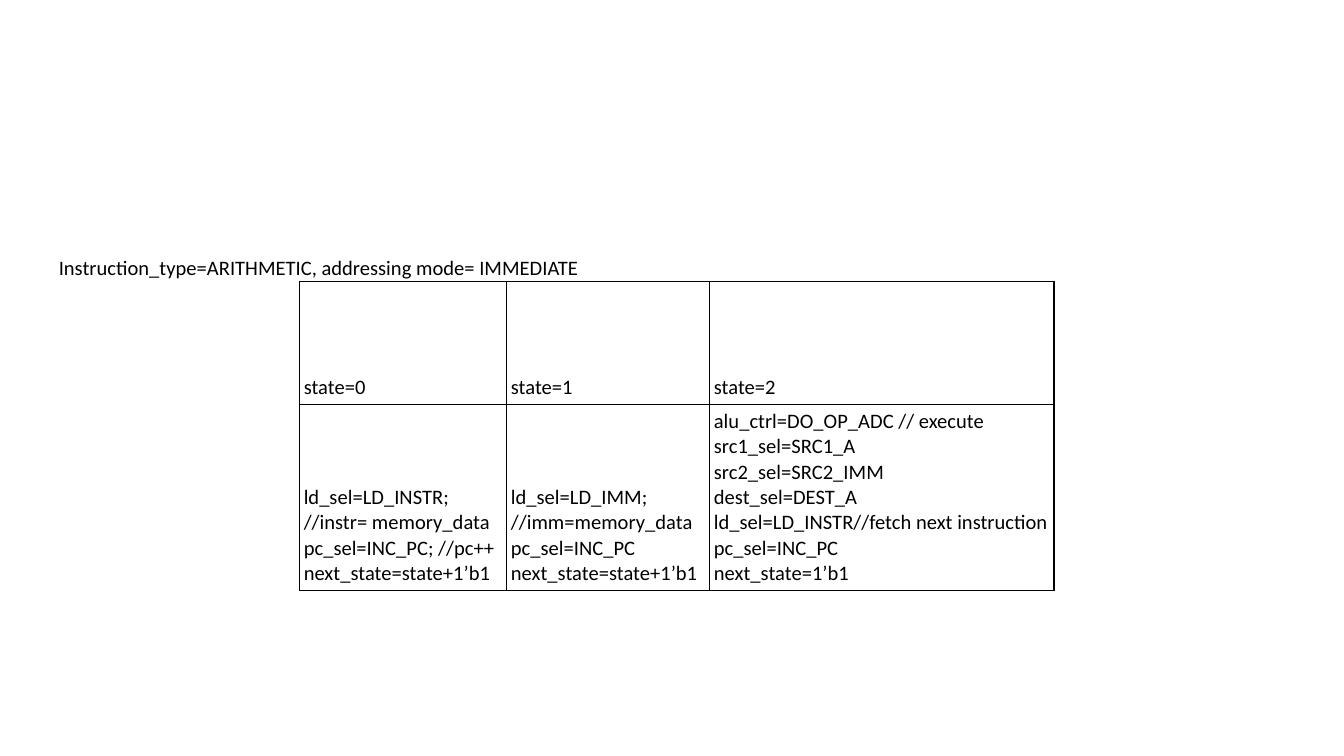
"""Build a slide with the control signals of each state for an immediate arithmetic instruction."""
from lxml import etree
from pptx import Presentation
from pptx.dml.color import RGBColor
from pptx.enum.text import MSO_ANCHOR
from pptx.oxml.ns import qn
from pptx.util import Pt

MIDDLE = MSO_ANCHOR.MIDDLE
BOTTOM = MSO_ANCHOR.BOTTOM
PX = 9525
COLORS = {"text": "000000", "border": "000000"}
COLUMNS = [
    (148, "state=0", "ld_sel=LD_INSTR; //instr= memory_data\npc_sel=INC_PC; //pc++\nnext_state=state+1’b1"),
    (145, "state=1", "ld_sel=LD_IMM;\n//imm=memory_data\npc_sel=INC_PC\nnext_state=state+1’b1"),
    (246, "state=2", "alu_ctrl=DO_OP_ADC // execute\nsrc1_sel=SRC1_A\nsrc2_sel=SRC2_IMM\ndest_sel=DEST_A\n"
                     "ld_sel=LD_INSTR//fetch next instruction\npc_sel=INC_PC\nnext_state=1’b1"),
]
ROW_HEIGHT = 88


def write(tf, text, size=11, font="Calibri", color="text", spacing=None, after=None):
    for i, line in enumerate(text.split("\n")):
        p = tf.add_paragraph() if i else tf.paragraphs[0]
        if spacing:
            p.line_spacing = spacing
        if after:
            p.space_after = Pt(after)
        r = p.add_run()
        r.text = line
        r.font.size = Pt(size)
        r.font.name = font
        r.font.color.rgb = RGBColor.from_string(COLORS[color])


def add_borders(cell, width=0.75):
    props = cell._tc.get_or_add_tcPr()
    for i, side in enumerate(("a:lnL", "a:lnR", "a:lnT", "a:lnB")):
        ln = etree.Element(qn(side), w=str(int(Pt(width))))
        fill = etree.SubElement(ln, qn("a:solidFill"))
        etree.SubElement(fill, qn("a:srgbClr"), val=COLORS["border"])
        props.insert(i, ln)


prs = Presentation()
prs.slide_width = 960 * PX
prs.slide_height = 540 * PX
s = prs.slides.add_slide(prs.slide_layouts[6])

total_width = sum(width for width, _, _ in COLUMNS)
table = s.shapes.add_table(2, len(COLUMNS), 214 * PX, 201 * PX, total_width * PX, 2 * ROW_HEIGHT * PX).table
table.first_row = False
table.horz_banding = False
for row in table.rows:
    row.height = ROW_HEIGHT * PX
for col, (width, *texts) in enumerate(COLUMNS):
    table.columns[col].width = width * PX
    for row, text in enumerate(texts):
        cell = table.cell(row, col)
        cell.margin_left = cell.margin_right = cell.margin_top = cell.margin_bottom = 3 * PX
        cell.vertical_anchor = BOTTOM
        cell.fill.background()
        add_borders(cell)
        write(cell.text_frame, text)

title = s.shapes.add_textbox(32 * PX, 32 * PX, 445 * PX, 315 * PX)
tf = title.text_frame
tf.word_wrap = True
tf.vertical_anchor = MIDDLE
tf.margin_left = tf.margin_right = tf.margin_top = tf.margin_bottom = 10 * PX
write(tf, "Instruction_type=ARITHMETIC, addressing mode= IMMEDIATE", spacing=1.15, after=10)

prs.save("out.pptx")
